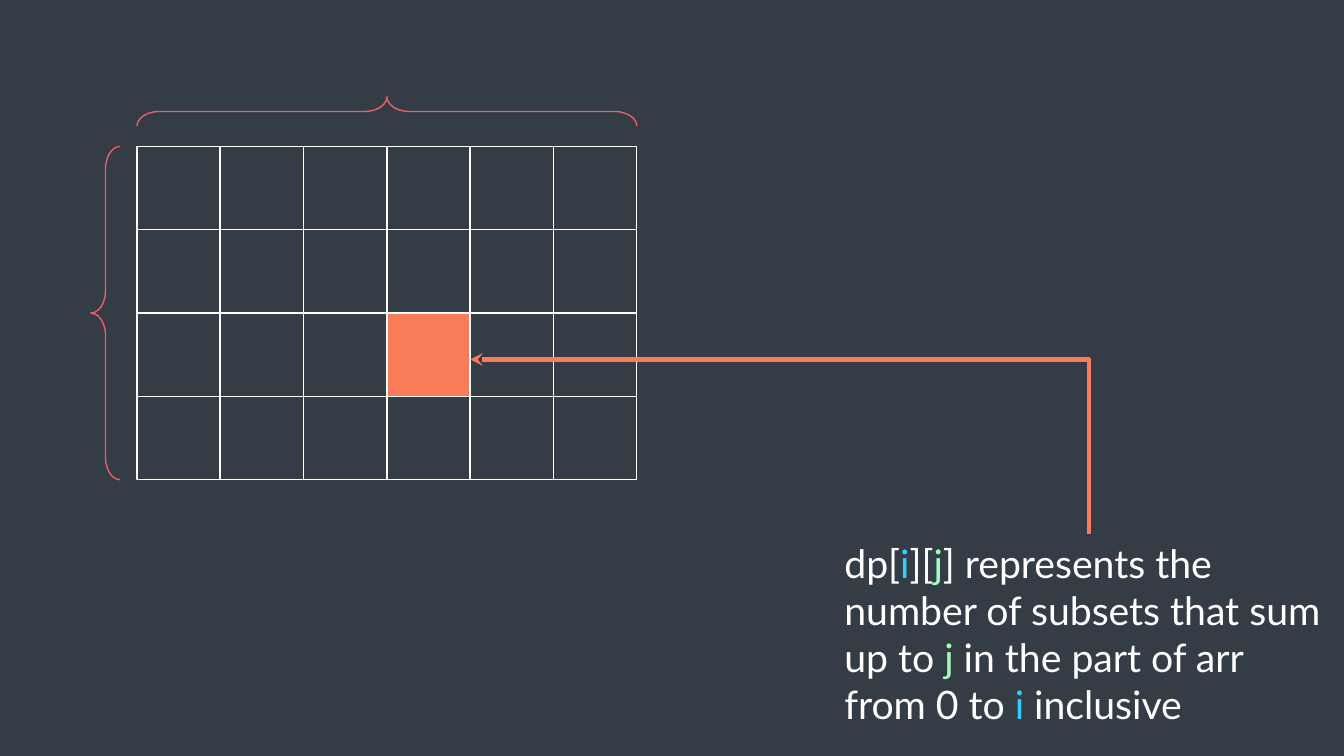
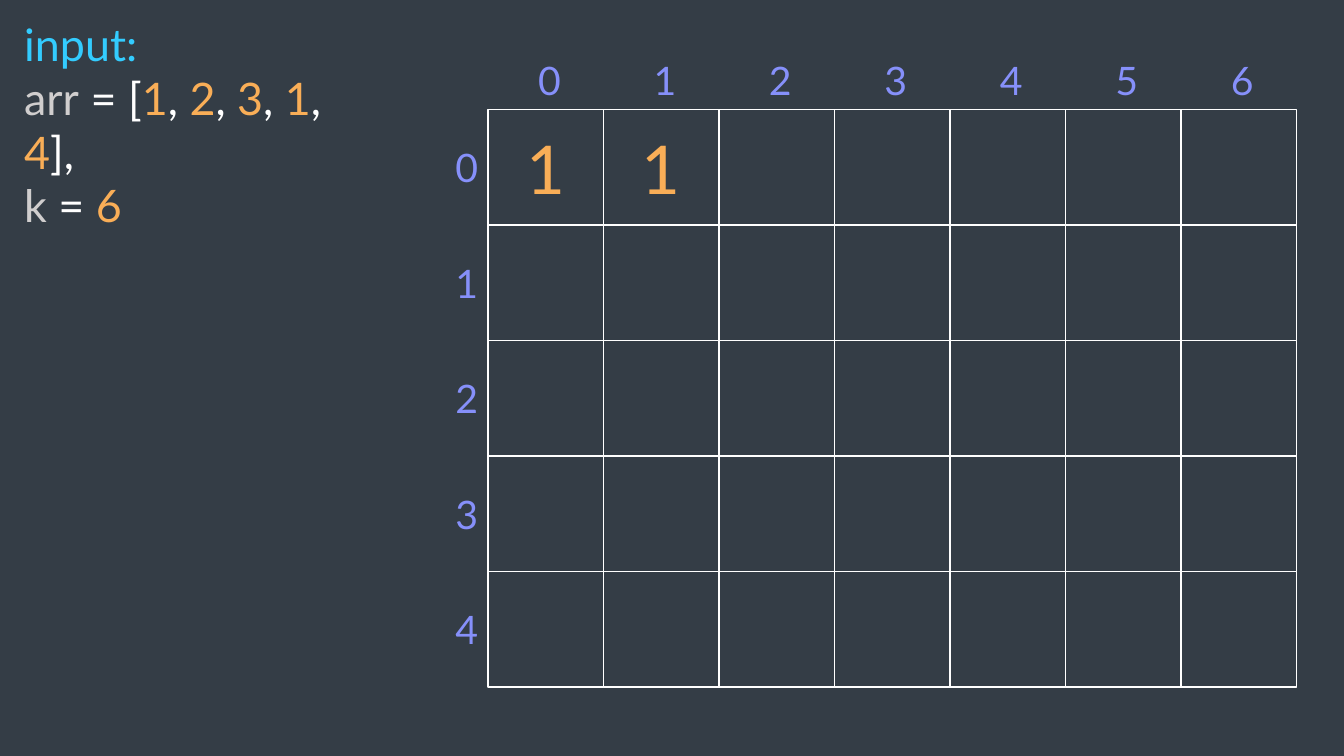
from lxml.etree import SubElement
from pptx import Presentation
from pptx.dml.color import RGBColor
from pptx.enum.shapes import MSO_CONNECTOR as Connector, MSO_SHAPE as Shape
from pptx.enum.text import MSO_ANCHOR as Anchor, MSO_AUTO_SIZE as AutoSize, PP_ALIGN as Align
from pptx.oxml.ns import qn
from pptx.util import Cm, Pt

SLATE = RGBColor(0x34, 0x3D, 0x46)
WHITE = RGBColor(0xFF, 0xFF, 0xFF)
GRAY = RGBColor(0xD0, 0xCE, 0xCE)
CORAL = RGBColor(0xF9, 0x7B, 0x57)
RED = RGBColor(0xEC, 0x5E, 0x66)
BLUE = RGBColor(0x33, 0xCC, 0xFF)
GREEN = RGBColor(0xA5, 0xFD, 0xB9)
AMBER = RGBColor(0xF9, 0xAE, 0x57)
VIOLET = RGBColor(0x86, 0x90, 0xFA)


class Deck:
    font = "Lato"
    label_size = 28
    label_width, label_height = 0.89, 1.45
    brace_width = 0.74

    def __init__(self):
        self.presentation = Presentation()
        self.presentation.slide_width = Cm(33.87)
        self.presentation.slide_height = Cm(19.05)
        fill = self.presentation.slide_master.background.fill
        fill.solid()
        fill.fore_color.rgb = SLATE
        self.slide = None

    def new_slide(self):
        layout = self.presentation.slide_layouts[6]
        self.slide = self.presentation.slides.add_slide(layout)

    def fill_text(self, text_frame, paragraphs, size, align):
        for index, pieces in enumerate(paragraphs):
            paragraph = text_frame.add_paragraph() if index else text_frame.paragraphs[0]
            paragraph.alignment = align
            for text, color in pieces:
                run = paragraph.add_run()
                run.text = text
                run.font.name = self.font
                run.font.size = Pt(size)
                run.font.color.rgb = color

    def text(self, left, top, width, height, paragraphs, size, align=Align.LEFT):
        text_box = self.slide.shapes.add_textbox(Cm(left), Cm(top), Cm(width), Cm(height))
        text_box.text_frame.word_wrap = True
        text_box.text_frame.auto_size = AutoSize.SHAPE_TO_FIT_TEXT
        self.fill_text(text_box.text_frame, paragraphs, size, align)

    def label(self, left, top, number):
        self.text(left, top, self.label_width, self.label_height,
                  [[(str(number), VIOLET)]], self.label_size, Align.CENTER)

    def cell(self, left, top, side, color, value):
        shape = self.slide.shapes.add_shape(Shape.RECTANGLE, Cm(left), Cm(top), Cm(side), Cm(side))
        shape.shadow.inherit = False
        shape.fill.solid()
        shape.fill.fore_color.rgb = color
        shape.line.color.rgb = WHITE
        shape.line.width = Pt(1)
        if value:
            shape.text_frame.vertical_anchor = Anchor.MIDDLE
            self.fill_text(shape.text_frame, [[(value, AMBER)]], 48, Align.CENTER)

    def grid(self, left, top, side, rows, columns, values=None, colors=None):
        values, colors = values or {}, colors or {}
        for row in range(rows):
            for column in range(columns):
                place = row, column
                self.cell(left + column * side, top + row * side, side,
                          colors.get(place, SLATE), values.get(place))

    def brace(self, center_x, center_y, length, rotation=0):
        shape = self.slide.shapes.add_shape(
            Shape.LEFT_BRACE, Cm(center_x - self.brace_width / 2), Cm(center_y - length / 2),
            Cm(self.brace_width), Cm(length))
        shape.rotation = rotation
        shape.adjustments[0] = 0.756
        shape.shadow.inherit = False
        shape.fill.background()
        shape.line.color.rgb = RED
        shape.line.width = Pt(1)

    def arrow_up_then_left(self, start_x, start_y, end_x, end_y):
        center_x, center_y = (start_x + end_x) / 2, (start_y + end_y) / 2
        half_rise, half_run = (start_y - end_y) / 2, (start_x - end_x) / 2
        connector = self.slide.shapes.add_connector(
            Connector.ELBOW, Cm(center_x - half_rise), Cm(center_y + half_run),
            Cm(center_x + half_rise), Cm(center_y - half_run))
        connector.line.color.rgb = CORAL
        connector.line.width = Pt(3)
        properties = connector._element.spPr
        properties.find(qn("a:xfrm")).set("rot", str(270 * 60000))
        properties.find(qn("a:prstGeom")).set("prst", "bentConnector2")
        SubElement(properties.find(qn("a:ln")), qn("a:tailEnd"), type="stealth")
        SubElement(properties, qn("a:effectLst"))


def add_definition_slide(deck):
    deck.new_slide()
    left, top, side, rows, columns = 3.45, 3.69, 2.1, 4, 6
    deck.grid(left, top, side, rows, columns, colors={(2, 3): CORAL})
    deck.brace(2.66, top + rows * side / 2, rows * side)
    deck.brace(left + columns * side / 2, 2.81, columns * side, 90)
    box_left, box_top, box_width = 21.03, 13.46, 12.83
    deck.text(box_left, box_top, box_width, 5.05, [[
        ("dp[", WHITE), ("i", BLUE), ("][", WHITE), ("j", GREEN),
        ("] represents the number of subsets that sum up to ", WHITE), ("j", GREEN),
        (" in the part of arr from 0 to ", WHITE), ("i", BLUE), (" inclusive", WHITE),
    ]], 28)
    deck.arrow_up_then_left(box_left + box_width / 2, box_top, left + 4 * side, 9.06)


def add_table_slide(deck):
    deck.new_slide()
    numbers = [("1", AMBER)]
    for number in "2314":
        numbers += [(", ", WHITE), (number, AMBER)]
    deck.text(0.36, 0.3, 9.5, 4.37, [
        [("input:", BLUE)],
        [("arr", GRAY), (" = [", WHITE), *numbers, ("],", WHITE)],
        [("k", GRAY), (" = ", WHITE), ("6", AMBER)],
    ], 32)
    left, top, side, rows, columns = 12.3, 2.76, 2.91, 5, 7
    deck.grid(left, top, side, rows, columns, values={(0, 0): "1", (0, 1): "1"})
    for row in range(rows):
        deck.label(11.23, top + (row + 0.5) * side - deck.label_height / 2, row)
    for column in range(columns):
        deck.label(left + (column + 0.5) * side - deck.label_width / 2, 1.3, column)


def main():
    deck = Deck()
    add_definition_slide(deck)
    add_table_slide(deck)
    deck.presentation.save("out.pptx")


if __name__ == "__main__":
    main()
